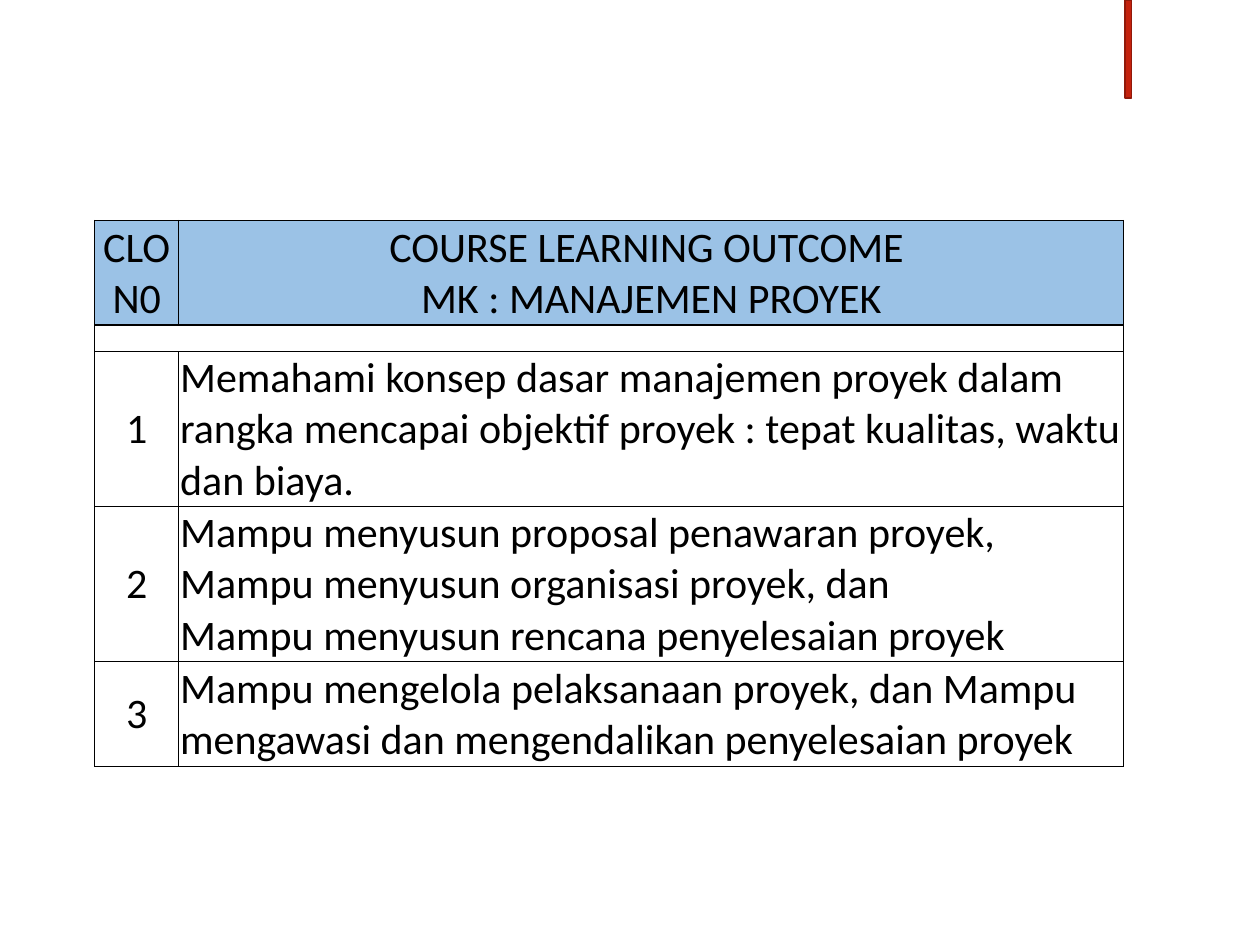
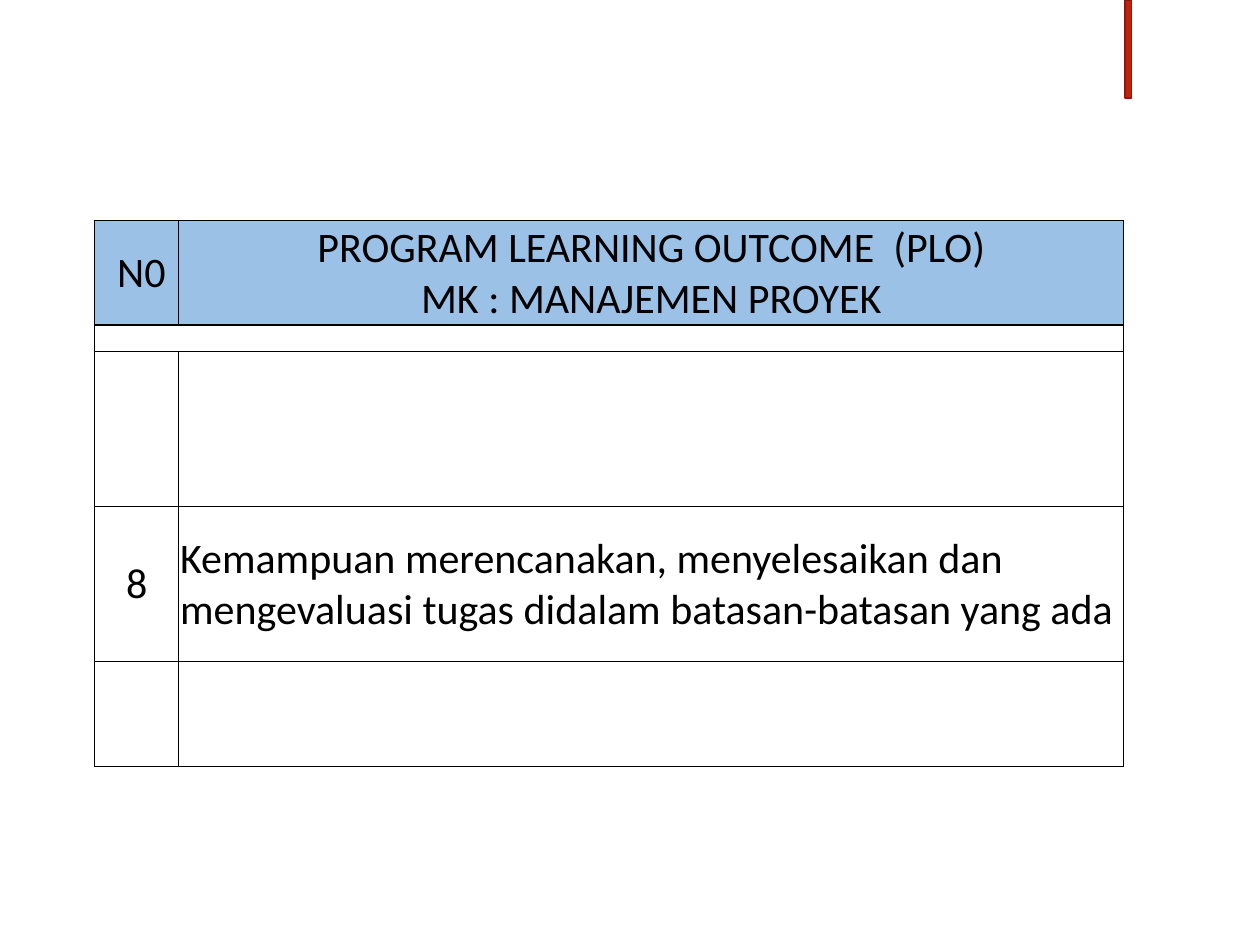
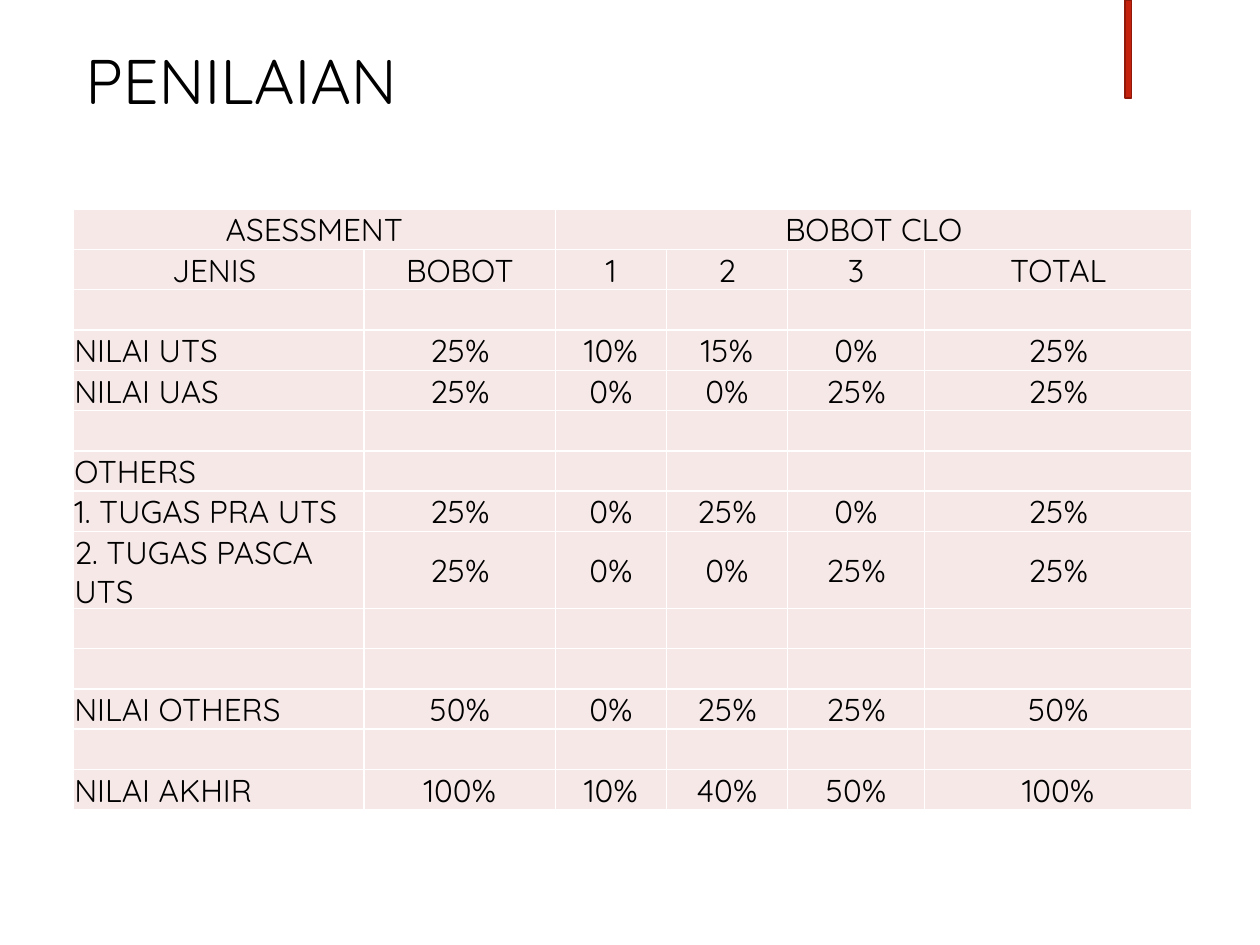
from dataclasses import dataclass

from lxml import etree
from pptx import Presentation
from pptx.dml.color import RGBColor
from pptx.enum import shapes, text
from pptx.oxml.ns import qn
from pptx.util import Inches, Pt


@dataclass(frozen=True)
class Theme:
    bar: str = "C4220D"
    bar_line: str = "91190A"
    ink: str = "000000"
    header: str = "9BC2E6"
    grid: str = "FFFFFF"
    grade: str = "F5E8E7"
    title_font: str = "Quicksand"
    outcome_font: str = "Calibri"
    title_size: int = 36
    outcome_size: int = 24
    grade_size: int = 18
    spacer_size: int = 8


THEME = Theme()

# None is a cell merged into the one on its left.
COURSE_OUTCOMES = [
    ("CLO N0", "COURSE LEARNING OUTCOME \nMK : MANAJEMEN PROYEK"),
    ("", None),
    ("1", "Memahami konsep dasar manajemen proyek dalam rangka mencapai "
          "objektif proyek : tepat kualitas, waktu dan biaya."),
    ("2", "Mampu menyusun proposal penawaran proyek, Mampu menyusun organisasi "
          "proyek, dan \vMampu menyusun rencana penyelesaian proyek"),
    ("3", "Mampu mengelola pelaksanaan proyek, dan Mampu mengawasi dan "
          "mengendalikan penyelesaian proyek"),
]
PROGRAM_OUTCOMES = [
    (" N0", "PROGRAM LEARNING OUTCOME  (PLO)\nMK : MANAJEMEN PROYEK"),
    ("", None),
    ("", ""),
    ("8", "Kemampuan merencanakan, menyelesaikan dan mengevaluasi tugas "
          "didalam batasan-batasan yang ada"),
    ("", ""),
]
GRADE_TITLE = "PENILAIAN"
EMPTY = ("",) * 6
GRADES = [
    ("ASESSMENT", None, "BOBOT CLO", None, None, None),
    ("JENIS ", "BOBOT", "1", "2", "3", "TOTAL"),
    EMPTY,
    ("NILAI UTS", "25%", "10%", "15%", "0%", "25%"),
    ("NILAI UAS", "25%", "0%", "0%", "25%", "25%"),
    EMPTY,
    ("OTHERS",) + EMPTY[1:],
    ("1. TUGAS PRA UTS", "25%", "0%", "25%", "0%", "25%"),
    ("2. TUGAS PASCA UTS", "25%", "0%", "0%", "25%", "25%"),
    EMPTY,
    EMPTY,
    ("NILAI OTHERS", "50%", "0%", "25%", "25%", "50%"),
    EMPTY,
    ("NILAI AKHIR", "100%", "10%", "40%", "50%", "100%"),
]

OUTCOME_STYLE = {
    "at": (0.75, 1.75), "columns": (0.67, 7.5),
    "rows": (0.83, 0.21, 1.23, 1.23, 0.83),
    "font": THEME.outcome_font, "size": THEME.outcome_size,
    "empty_size": THEME.spacer_size, "header_rows": 1, "left_column": 1,
    "header_fill": THEME.header, "body_fill": None,
    "border": THEME.ink, "border_width": 0.5, "header_border_width": 1,
}
GRADE_STYLE = {
    "at": (0.58, 1.66), "columns": (2.31, 1.52, 0.88, 0.96, 1.09, 2.12),
    "rows": (0.32,) * len(GRADES),
    "font": THEME.title_font, "size": THEME.grade_size,
    "empty_size": THEME.grade_size, "header_rows": 2, "left_column": 0,
    "header_fill": THEME.grade, "body_fill": THEME.grade,
    "border": THEME.grid, "border_width": 1, "header_border_width": 1,
}
CELL_FORMAT = {
    "margin_left": Inches(0.01), "margin_right": Inches(0.01),
    "margin_top": Inches(0.01), "margin_bottom": 0,
    "vertical_anchor": text.MSO_ANCHOR.MIDDLE,
}


def apply_format(target, values):
    for name, value in values.items():
        setattr(target, name, value)


def set_font(font, name, size):
    apply_format(font, {"name": name, "size": Pt(size)})
    font.color.rgb = RGBColor.from_string(THEME.ink)


def set_borders(cell, color, widths):
    """Draw the left, right, top and bottom lines, widths in points."""
    properties = cell._tc.get_or_add_tcPr()
    for side, width in zip("LRTB", widths):
        line = etree.SubElement(properties, qn(f"a:ln{side}"), w=str(Pt(width)))
        fill = etree.SubElement(line, qn("a:solidFill"))
        etree.SubElement(fill, qn("a:srgbClr"), val=color)


def set_fill(cell, color):
    if color:
        cell.fill.solid()
        cell.fill.fore_color.rgb = RGBColor.from_string(color)
    else:
        cell.fill.background()


def write_cell(cell, content, style, alignment):
    cell.text_frame.text = content
    for paragraph in cell.text_frame.paragraphs:
        paragraph.alignment = alignment
        for run in paragraph.runs:
            set_font(run.font, style["font"], style["size"])
        if not paragraph.runs:
            etree.SubElement(paragraph._p, qn("a:endParaRPr"),
                             sz=str(style["empty_size"] * 100))


def add_grid(slide, data, style):
    columns, rows = style["columns"], style["rows"]
    lengths = (*style["at"], sum(columns), sum(rows))
    table = slide.shapes.add_table(len(rows), len(columns),
                                   *map(Inches, lengths)).table
    apply_format(table, {"first_row": False, "horz_banding": False})
    for column, width in zip(table.columns, columns):
        column.width = Inches(width)
    for row, height in zip(table.rows, rows):
        row.height = Inches(height)

    thin, thick = style["border_width"], style["header_border_width"]
    for r, contents in enumerate(data):
        is_header = r < style["header_rows"]
        top = thick if r <= style["header_rows"] else thin
        bottom = thick if is_header else thin
        for c, content in enumerate(contents):
            cell = table.cell(r, c)
            apply_format(cell, CELL_FORMAT)
            set_borders(cell, style["border"], (thin, thin, top, bottom))
            set_fill(cell, style["header_fill" if is_header else "body_fill"])
            is_left = c == style["left_column"] and not is_header
            write_cell(cell, content or "", style,
                       text.PP_ALIGN.LEFT if is_left else text.PP_ALIGN.CENTER)
        starts = [c for c, content in enumerate(contents) if content is not None]
        for start, end in zip(starts, starts[1:] + [len(contents)]):
            if end - start > 1:
                table.cell(r, start).merge(table.cell(r, end - 1))


def add_title(slide, title):
    box = slide.shapes.add_textbox(*map(Inches, (0.58, 0.42, 7.06, 0.5)))
    frame = box.text_frame
    apply_format(frame, {"word_wrap": True,
                         "vertical_anchor": text.MSO_ANCHOR.MIDDLE})
    frame.text = title
    paragraph = frame.paragraphs[0]
    paragraph.line_spacing = 0.9
    set_font(paragraph.runs[0].font, THEME.title_font, THEME.title_size)


def add_slide(presentation):
    """Add a blank slide with the red bar at its top edge."""
    slide = presentation.slides.add_slide(presentation.slide_layouts[6])
    bar = slide.shapes.add_shape(shapes.MSO_SHAPE.RECTANGLE,
                                 *map(Inches, (8.93, 0, 0.05, 0.78)))
    bar.shadow.inherit = False
    bar.fill.solid()
    bar.fill.fore_color.rgb = RGBColor.from_string(THEME.bar)
    bar.line.color.rgb = RGBColor.from_string(THEME.bar_line)
    bar.line.width = Pt(1)
    return slide


def main():
    presentation = Presentation()
    apply_format(presentation, {"slide_width": Inches(10),
                                "slide_height": Inches(7.5)})
    for outcomes in (COURSE_OUTCOMES, PROGRAM_OUTCOMES):
        add_grid(add_slide(presentation), outcomes, OUTCOME_STYLE)
    grade_slide = add_slide(presentation)
    add_title(grade_slide, GRADE_TITLE)
    add_grid(grade_slide, GRADES, GRADE_STYLE)
    presentation.save("out.pptx")


if __name__ == "__main__":
    main()
